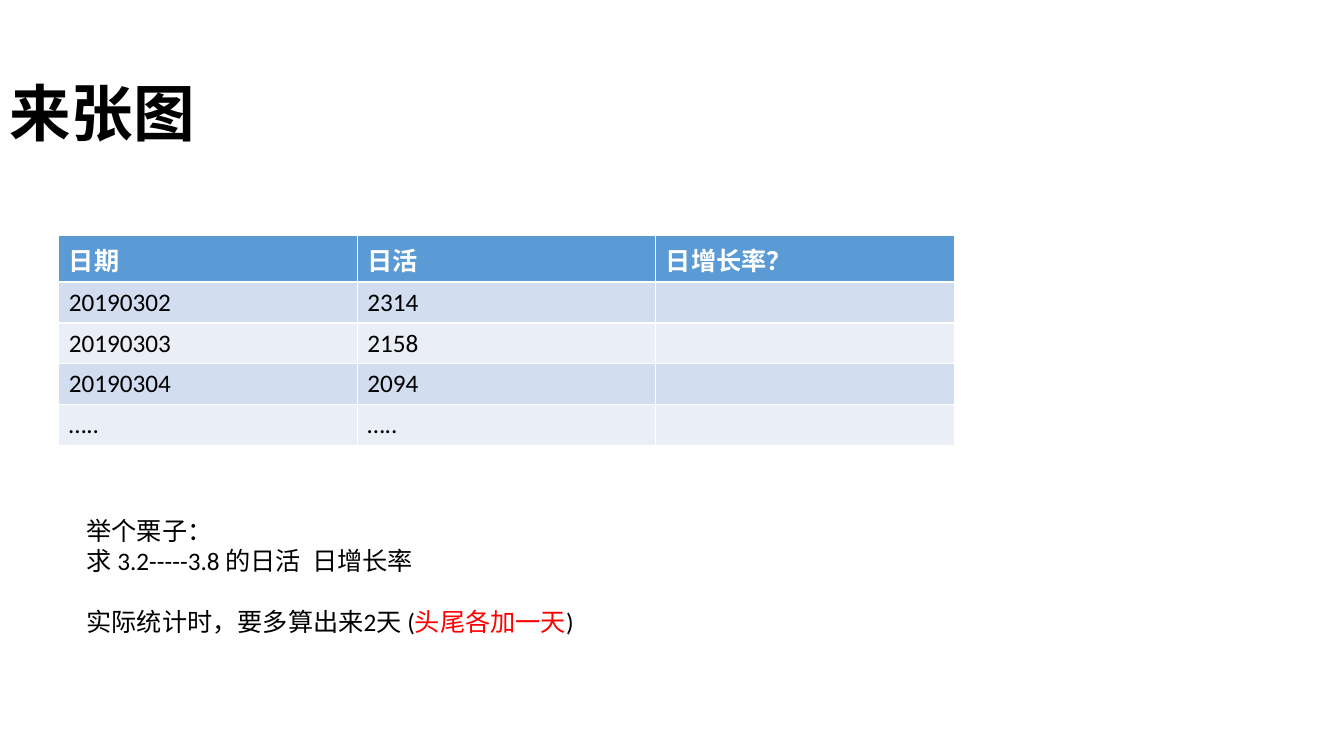
from pptx import Presentation
from pptx.dml.color import RGBColor
from pptx.enum.text import MSO_ANCHOR
from pptx.util import Pt

MIDDLE = MSO_ANCHOR.MIDDLE
FONT = "Calibri"
COLORS = {
    "text": "000000",
    "accent": "FF0000",
    "header_text": "FFFFFF",
    "header": "5B9BD5",
    "band_dark": "D2DEEF",
    "band_light": "EAEFF7",
}


def add_run(p, text, size=18, color="text", bold=False):
    """Add one formatted run to a paragraph."""
    r = p.add_run()
    r.text = text
    r.font.name = FONT
    r.font.size = Pt(size)
    r.font.bold = bold
    r.font.color.rgb = RGBColor.from_string(COLORS[color])


def add_text_box(s, left, top, width, height):
    """Add a wrapping text box and return its text frame."""
    tf = s.shapes.add_textbox(Pt(left), Pt(top), Pt(width), Pt(height)).text_frame
    tf.word_wrap = True
    return tf


prs = Presentation()
prs.slide_width, prs.slide_height = Pt(960), Pt(540)
s = prs.slides.add_slide(prs.slide_layouts[6])

# Title
tf = add_text_box(s, 0, 28.8, 977, 109.4)
tf.vertical_anchor = MIDDLE
p = tf.paragraphs[0]
p.line_spacing = 0.9
add_run(p, "来张图", size=44, bold=True)

# Daily active users table; its default style draws the white borders
rows = [
    ("日期", "日活", "日增长率？"),
    ("20190302", "2314", ""),
    ("20190303", "2158", ""),
    ("20190304", "2094", ""),
    ("…..", "…..", ""),
]
header_height, row_height = 33, 29.2
table = s.shapes.add_table(
    len(rows), 3, Pt(42), Pt(168.5), Pt(640), Pt(header_height + 4 * row_height)
).table
for col in table.columns:
    col.width = Pt(213.2)
for i, values in enumerate(rows):
    is_header = i == 0
    table.rows[i].height = Pt(header_height if is_header else row_height)
    fill = "header" if is_header else "band_dark" if i % 2 else "band_light"
    for j, value in enumerate(values):
        cell = table.cell(i, j)
        cell.fill.solid()
        cell.fill.fore_color.rgb = RGBColor.from_string(COLORS[fill])
        if value:
            add_run(cell.text_frame.paragraphs[0], value,
                    color="header_text" if is_header else "text", bold=is_header)

# Worked example: (space before, runs) for each paragraph
example = [
    (0, [("举个栗子：", "text")]),
    (0, [("求 3.2-----3.8 的日活  日增长率", "text")]),
    (22, [("实际统计时，要多算出来2天 (", "text"),
          ("头尾各加一天", "accent"),
          (")", "text")]),
]
tf = add_text_box(s, 54.7, 364.3, 578, 94.3)
for i, (space, runs) in enumerate(example):
    p = tf.add_paragraph() if i else tf.paragraphs[0]
    p.space_before = Pt(space)
    for text, color in runs:
        add_run(p, text, color=color)

prs.save("out.pptx")
